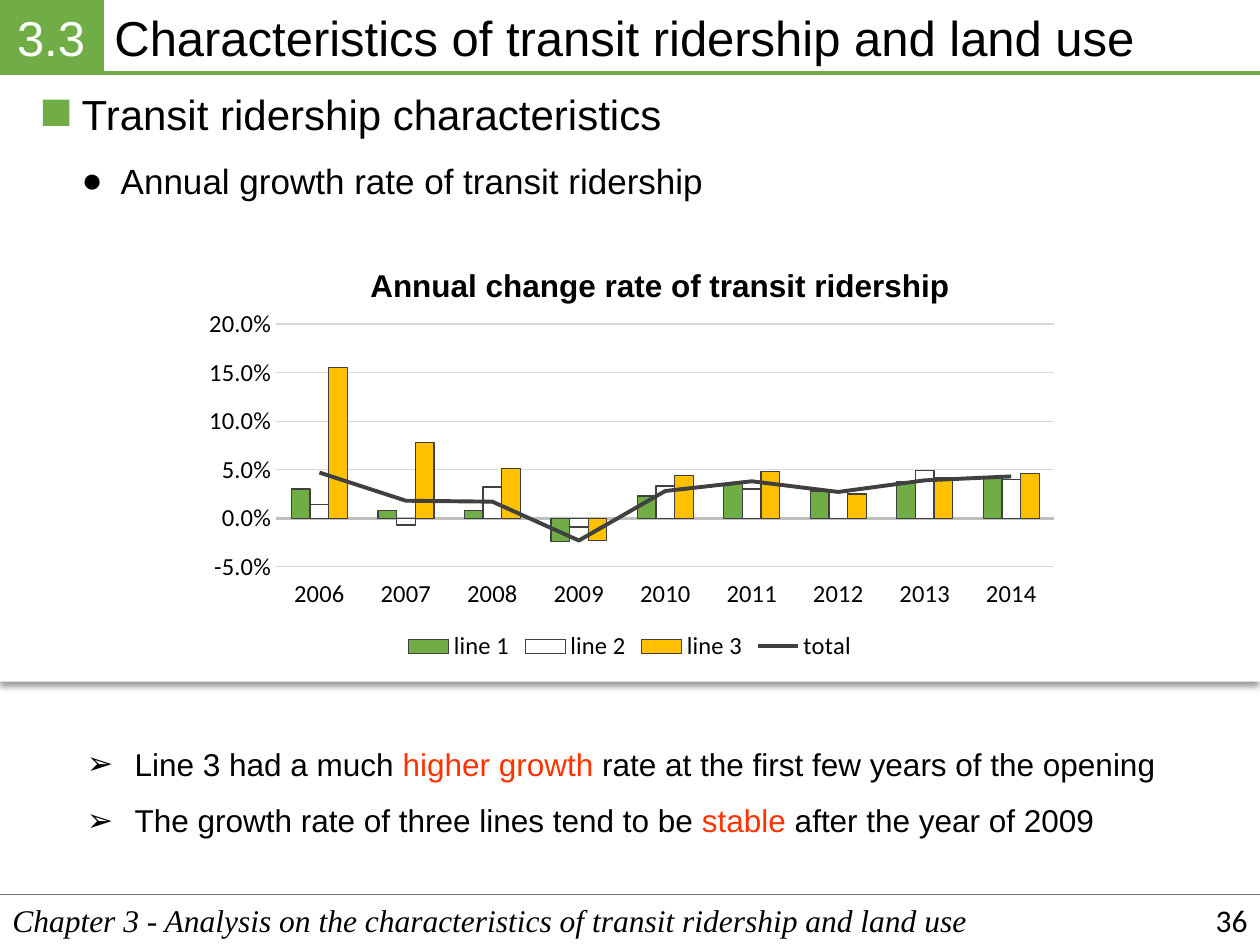
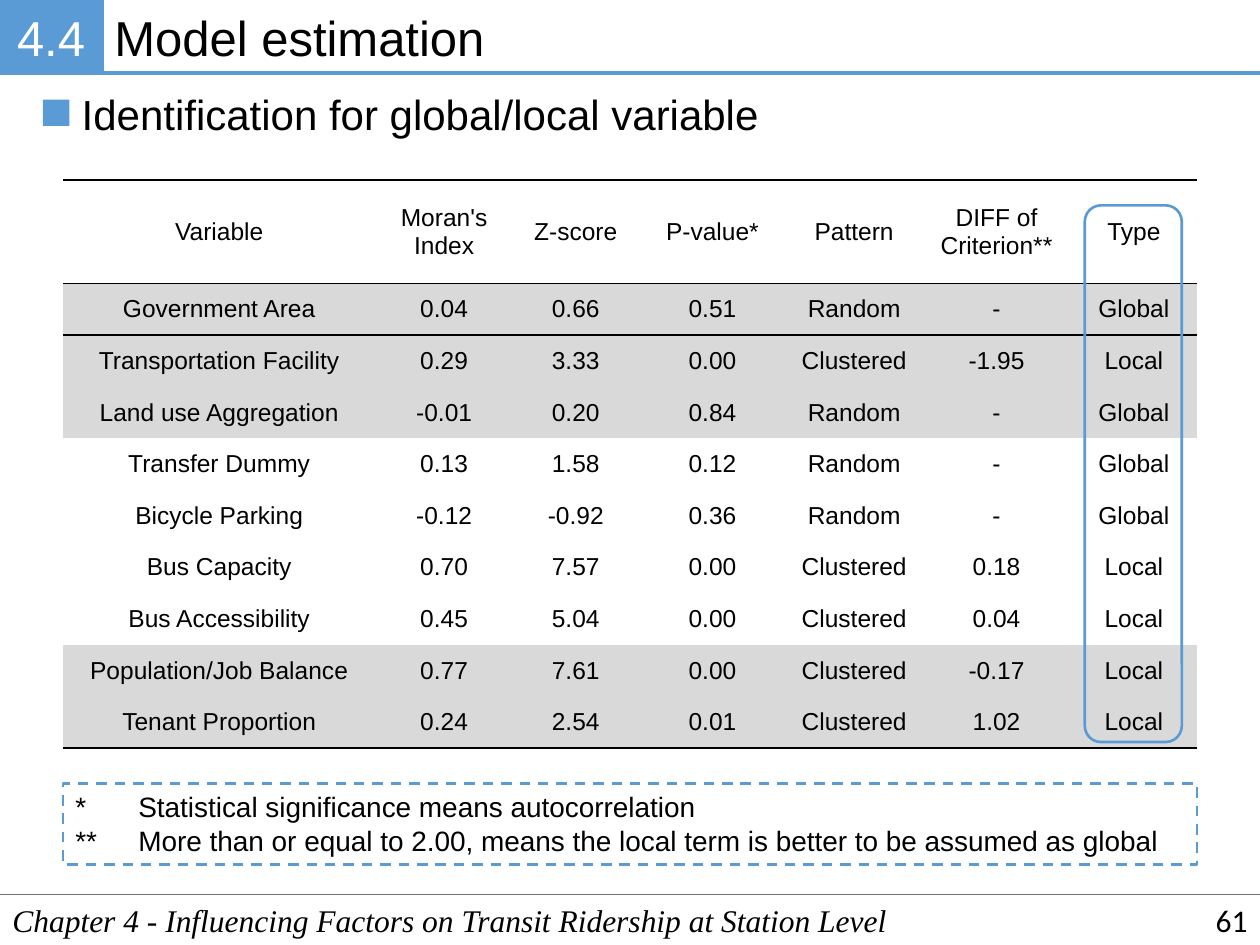
"""Builds two slides on transit ridership: a growth chart and a model table."""
import dataclasses
import pptx
import pptx.chart.data
import pptx.dml.color
import pptx.enum.chart
import pptx.enum.dml
import pptx.enum.shapes
import pptx.enum.text
import pptx.oxml
import pptx.oxml.ns
import pptx.util

Inches = pptx.util.Inches
Pt = pptx.util.Pt
ALIGN = pptx.enum.text.PP_ALIGN
ANCHOR = pptx.enum.text.MSO_ANCHOR
SHAPE = pptx.enum.shapes.MSO_SHAPE


@dataclasses.dataclass(frozen=True)
class Theme:
    """Colours, faces and type sizes."""
    ink: str = "000000"
    paper: str = "FFFFFF"
    green: str = "70AD47"
    blue: str = "5B9BD5"
    gold: str = "FFC000"
    red: str = "FF3300"
    dark: str = "404040"
    rule: str = "767171"
    axis: str = "BFBFBF"
    grid: str = "D9D9D9"
    sans: str = "Arial"
    plain: str = "Calibri"
    serif: str = "Times New Roman"
    title: int = 28
    head: int = 24
    sub: int = 20
    body: int = 18
    note: int = 16
    cell: int = 14


T = Theme()

YEARS = [str(year) for year in range(2006, 2015)]
RATES = {
    "line 1": (0.03, 0.008, 0.008, -0.024, 0.023, 0.036, 0.028, 0.038, 0.043),
    "line 2": (0.014, -0.007, 0.032, -0.009, 0.033, 0.03, 0.027, 0.049, 0.04),
    "line 3": (0.155, 0.078, 0.051, -0.023, 0.044, 0.048, 0.025, 0.042, 0.046),
    "total": (0.047, 0.018, 0.017, -0.023, 0.028, 0.038, 0.027, 0.039, 0.043),
}
FINDS = [
    [("Line 3 had a much ", T.ink), ("higher growth", T.red),
     (" rate at the first few years of the opening", T.ink)],
    [("The growth rate of three lines tend to be ", T.ink), ("stable", T.red),
     (" after the year of 2009", T.ink)],
]
MODEL = [
    ("Variable", "Moran's Index", "Z-score", "P-value*", "Pattern", "DIFF of Criterion**", "Type"),
    ("Government Area", "0.04", "0.66", "0.51", "Random", "-", "Global"),
    ("Transportation Facility", "0.29", "3.33", "0.00", "Clustered", "-1.95", "Local"),
    ("Land use Aggregation", "-0.01", "0.20", "0.84", "Random", "-", "Global"),
    ("Transfer Dummy", "0.13", "1.58", "0.12", "Random", "-", "Global"),
    ("Bicycle Parking", "-0.12", "-0.92", "0.36", "Random", "-", "Global"),
    ("Bus Capacity", "0.70", "7.57", "0.00", "Clustered", "0.18", "Local"),
    ("Bus Accessibility", "0.45", "5.04", "0.00", "Clustered", "0.04", "Local"),
    ("Population/Job Balance", "0.77", "7.61", "0.00", "Clustered", "-0.17", "Local"),
    ("Tenant Proportion", "0.24", "2.54", "0.01", "Clustered", "1.02", "Local"),
]
WIDTHS = (2.48, 1.09, 1, 1.17, 1.08, 1.18, 1)
SHADED = {1, 2, 3, 8, 9}
NOTES = ["*\tStatistical significance means autocorrelation",
         "**\tMore than or equal to 2.00, means the local term is better to be assumed as global"]


def rgb(code):
    """Turn a hex code into a colour."""
    return pptx.dml.color.RGBColor.from_string(code)


def span(*sizes):
    """Turn inches into lengths."""
    return [Inches(size) for size in sizes]


def apply(item, **values):
    """Set each named value on the item."""
    for name, value in values.items():
        setattr(item, name, value)


def node(tag, inner="", attrs=""):
    """Make an XML element with its namespaces."""
    spaces = pptx.oxml.ns.nsdecls("a", "c")
    return pptx.oxml.parse_xml(f"<{tag} {spaces} {attrs}>{inner}</{tag}>")


def style(font, size, face=T.sans, color=T.ink, **more):
    """Give a font its size, face and colour."""
    apply(font, size=Pt(size), name=face, **more)
    font.color.rgb = rgb(color)


def stroke(line, color, width):
    """Give a line its colour and width."""
    line.color.rgb = rgb(color)
    line.width = Pt(width)


def write(frame, lines, size, face=T.sans, color=T.ink, align=ALIGN.LEFT,
          bullet=None, hang=0, tab=0, gap=None, italic=False, **form):
    """Fill a text frame with lines of plain or coloured pieces."""
    apply(frame, **{"word_wrap": True, "vertical_anchor": ANCHOR.TOP, **form})
    for index, line in enumerate(lines):
        para = frame.add_paragraph() if index else frame.paragraphs[0]
        props = para._p.get_or_add_pPr()
        if bullet:
            props.set("marL", str(Inches(hang)))
            props.set("indent", str(-Inches(hang)))
            props.append(node("a:buFont", attrs=f'typeface="{T.sans}"'))
            props.append(node("a:buChar", attrs=f'char="{bullet}"'))
        if tab:
            props.append(node("a:tabLst", f'<a:tab pos="{Inches(tab)}" algn="l"/>'))
        apply(para, alignment=align, line_spacing=gap)
        for text, tint in [(line, color)] if isinstance(line, str) else line:
            run = para.add_run()
            run.text = text
            style(run.font, size, face, tint, italic=italic)


def label(shapes, box, lines, size, **form):
    """Add a text box."""
    write(shapes.add_textbox(*span(*box)).text_frame, lines, size, **form)


def block(shapes, box, fill=None, edge=None, width=1.5, kind=SHAPE.RECTANGLE):
    """Add a flat shape."""
    shape = shapes.add_shape(kind, *span(*box))
    shape.shadow.inherit = False
    if fill:
        shape.fill.solid()
        shape.fill.fore_color.rgb = rgb(fill)
    else:
        shape.fill.background()
    if edge:
        stroke(shape.line, edge, width)
    else:
        shape.line.fill.background()
    return shape


def rule(shapes, left, right, y, color, width):
    """Draw a level line."""
    kind = pptx.enum.shapes.MSO_CONNECTOR.STRAIGHT
    line = shapes.add_connector(kind, *span(left, y, right, y))
    line._element.spPr.append(node("a:effectLst"))
    stroke(line.line, color, width)


def banner(shapes, box, number, title, color):
    """Draw the numbered title band."""
    x, y, w, h = box
    tab = 0.81
    label(shapes, (x + tab, y + 0.01, w - tab, h - 0.01), [title], T.title)
    part = block(shapes, (x, y, tab, h), color, color, 2.25)
    pad = Inches(0.06)
    write(part.text_frame, [number], T.title, color=T.paper, align=ALIGN.CENTER,
          vertical_anchor=ANCHOR.MIDDLE, margin_left=pad, margin_right=pad,
          margin_top=pad, margin_bottom=pad)
    rule(shapes, x + tab, x + w, y + h, color, 2.25)


def footer(shapes, box, text, page):
    """Draw the chapter line and page number."""
    x, y, w, h = box
    rule(shapes, x, x + w, y, T.rule, 1)
    label(shapes, box, [text], T.body, face=T.serif, italic=True)
    label(shapes, (x + w - 2.25, y, 2.25, h), [page], T.body, face=T.plain,
          align=ALIGN.RIGHT, vertical_anchor=ANCHOR.MIDDLE)


def heading(shapes, box, text, color):
    """Draw a section heading with its square."""
    x, y, w, h = box
    group = shapes.add_group_shape().shapes
    block(group, (x, y + 0.14, 0.21, 0.21), color)
    label(group, (x + 0.21, y, w - 0.21, h), [text], T.head, word_wrap=False)


def place(parent, index, **spots):
    """Set a fixed chart layout on a title or plot area."""
    for old in parent.findall(pptx.oxml.ns.qn("c:layout")):
        parent.remove(old)
    modes = "".join(f'<c:{side}Mode val="edge"/>' for side in "xy")
    inner = '<c:layoutTarget val="inner"/>' if "w" in spots else ""
    sizes = "".join(f'<c:{key} val="{value}"/>' for key, value in spots.items())
    layout = f"<c:manualLayout>{inner}{modes}{sizes}</c:manualLayout>"
    parent.insert(index, node("c:layout", layout))


def overlay(chart):
    """Turn the last column series into a line on the same axes."""
    bars = chart.plots[0]._element
    last = bars.findall(pptx.oxml.ns.qn("c:ser"))[-1]
    for flag in last.findall(pptx.oxml.ns.qn("c:invertIfNegative")):
        last.remove(flag)
    line = node("c:lineChart", '<c:grouping val="standard"/><c:varyColors val="0"/>')
    line.append(last)
    line.append(node("c:marker", attrs='val="1"'))
    for axis in bars.findall(pptx.oxml.ns.qn("c:axId")):
        line.append(node("c:axId", attrs=f'val="{axis.get("val")}"'))
    bars.addnext(line)


def growth(shapes, box):
    """Chart the yearly change of each line and the total."""
    enum = pptx.enum.chart
    data = pptx.chart.data.CategoryChartData(number_format="0.0%")
    data.categories = YEARS
    for name, values in RATES.items():
        data.add_series(name, values)
    kind = enum.XL_CHART_TYPE.COLUMN_CLUSTERED
    chart = shapes.add_chart(kind, *span(*box), data).chart
    style(chart.font, 10, T.plain)
    overlay(chart)
    bars, total = chart.plots
    apply(bars, gap_width=164, overlap=0, vary_by_categories=False)
    for series, color in zip(bars.series, (T.green, T.paper, T.gold)):
        series.invert_if_negative = False
        series.format.fill.solid()
        series.format.fill.fore_color.rgb = rgb(color)
        stroke(series.format.line, T.dark, 0.75)
    trend = total.series[0]
    trend.smooth = False
    trend.marker.style = enum.XL_MARKER_STYLE.NONE
    stroke(trend.format.line, T.dark, 2.25)

    years, rates = chart.category_axis, chart.value_axis
    for axis in (years, rates):
        apply(axis, major_tick_mark=enum.XL_TICK_MARK.NONE,
              minor_tick_mark=enum.XL_TICK_MARK.NONE)
        style(axis.tick_labels.font, T.cell, T.plain)
    years.tick_label_position = enum.XL_TICK_LABEL_POSITION.LOW
    stroke(years.format.line, T.axis, 1.5)
    apply(rates, minimum_scale=-0.05, maximum_scale=0.2, major_unit=0.05)
    apply(rates.tick_labels, number_format="0.0%", number_format_is_linked=False)
    rates.format.line.fill.background()
    stroke(rates.major_gridlines.format.line, T.grid, 0.75)

    chart.has_legend = True
    apply(chart.legend, position=enum.XL_LEGEND_POSITION.BOTTOM, include_in_layout=False)
    style(chart.legend.font, T.cell, T.plain)
    title = chart.chart_title
    write(title.text_frame, ["Annual change rate of transit ridership"], T.body,
          align=ALIGN.CENTER)
    place(title._element, 1, x=0.2, y=0.06)
    place(bars._element.getparent(), 0, x=0.1, y=0.21, w=0.88, h=0.56)


def border(cell, side, width):
    """Draw one cell edge."""
    fill = f'<a:solidFill><a:srgbClr val="{T.ink}"/></a:solidFill>'
    cell._tc.get_or_add_tcPr().append(node(f"a:ln{side}", fill, f'w="{Pt(width)}"'))


def grid(shapes, box):
    """Build the variable table."""
    table = shapes.add_table(len(MODEL), len(WIDTHS), *span(*box)).table
    apply(table, first_row=False, horz_banding=False)
    look = table._tbl.tblPr.find(pptx.oxml.ns.qn("a:tableStyleId"))
    look.text = "{2D5ABB26-0587-4C30-8999-92F81FD0307C}"
    for column, width in zip(table.columns, WIDTHS):
        column.width = Inches(width)
    edges = {0: {"T": 1.5, "B": 1}, 1: {"T": 1}, len(MODEL) - 1: {"B": 1.5}}
    for row, texts in enumerate(MODEL):
        table.rows[row].height = Inches(0.41 if row else 0.82)
        for col, text in enumerate(texts):
            cell = table.cell(row, col)
            apply(cell, margin_left=Inches(0.07), margin_right=Inches(0.07),
                  margin_top=0, margin_bottom=0, vertical_anchor=ANCHOR.MIDDLE)
            for side, width in edges.get(row, {}).items():
                border(cell, side, width)
            if row in SHADED:
                cell.fill.solid()
                cell.fill.fore_color.rgb = rgb(T.grid)
            else:
                cell.fill.background()
            para = cell.text_frame.paragraphs[0]
            para.alignment = ALIGN.CENTER
            run = para.add_run()
            run.text = text
            style(run.font, T.cell)


def panel(shapes, box):
    """Draw the white panel with its soft shadow."""
    part = block(shapes, box, T.paper)
    tint = f'<a:srgbClr val="{T.ink}"><a:alpha val="40000"/></a:srgbClr>'
    attrs = f'blurRad="{Pt(4)}" dist="{Pt(3)}" dir="5400000" algn="t" rotWithShape="0"'
    effects = part._element.spPr.find(pptx.oxml.ns.qn("a:effectLst"))
    effects.append(node("a:outerShdw", tint, attrs))


def frame(shapes, number, title, color, chapter, page, topic, width):
    """Draw the parts both slides share."""
    footer(shapes, (0, 7.1, 10, 0.4), chapter, page)
    banner(shapes, (0, 0, 10, 0.58), number, title, color)
    heading(shapes, (0.34, 0.65, width, 0.5), topic, color)


def riders(shapes):
    """Build the ridership slide."""
    panel(shapes, (0, 0.59, 10, 4.82))
    frame(shapes, "3.3", "Characteristics of transit ridership and land use", T.green,
          "Chapter 3 - Analysis on the characteristics of transit ridership and land use",
          "36", "Transit ridership characteristics", 5.06)
    label(shapes, (0.55, 1.22, 5.17, 0.44), ["Annual growth rate of transit ridership"],
          T.sub, bullet="●", hang=0.31, word_wrap=False)
    growth(shapes, (1.49, 1.85, 7.02, 3.44))
    label(shapes, (0.59, 5.71, 8.82, 0.95), FINDS, T.body, bullet="➢", hang=0.38, gap=1.5)


def model(shapes):
    """Build the model slide."""
    frame(shapes, "4.4", "Model estimation", T.blue,
          "Chapter 4 - Influencing Factors on Transit Ridership at Station Level",
          "61", "Identification for global/local variable", 6.06)
    grid(shapes, (0.5, 1.43, 9, 4.51))
    notes = block(shapes, (0.5, 6.22, 9, 0.64), edge=T.blue)
    notes.line.dash_style = pptx.enum.dml.MSO_LINE.DASH
    write(notes.text_frame, NOTES, T.note, tab=0.5)
    block(shapes, (8.61, 1.63, 0.77, 4.26), edge=T.blue, kind=SHAPE.ROUNDED_RECTANGLE)


def main():
    """Build and save both slides."""
    deck = pptx.Presentation()
    apply(deck, slide_width=Inches(10), slide_height=Inches(7.5))
    for build in (riders, model):
        build(deck.slides.add_slide(deck.slide_layouts[6]).shapes)
    deck.save("out.pptx")


if __name__ == "__main__":
    main()
